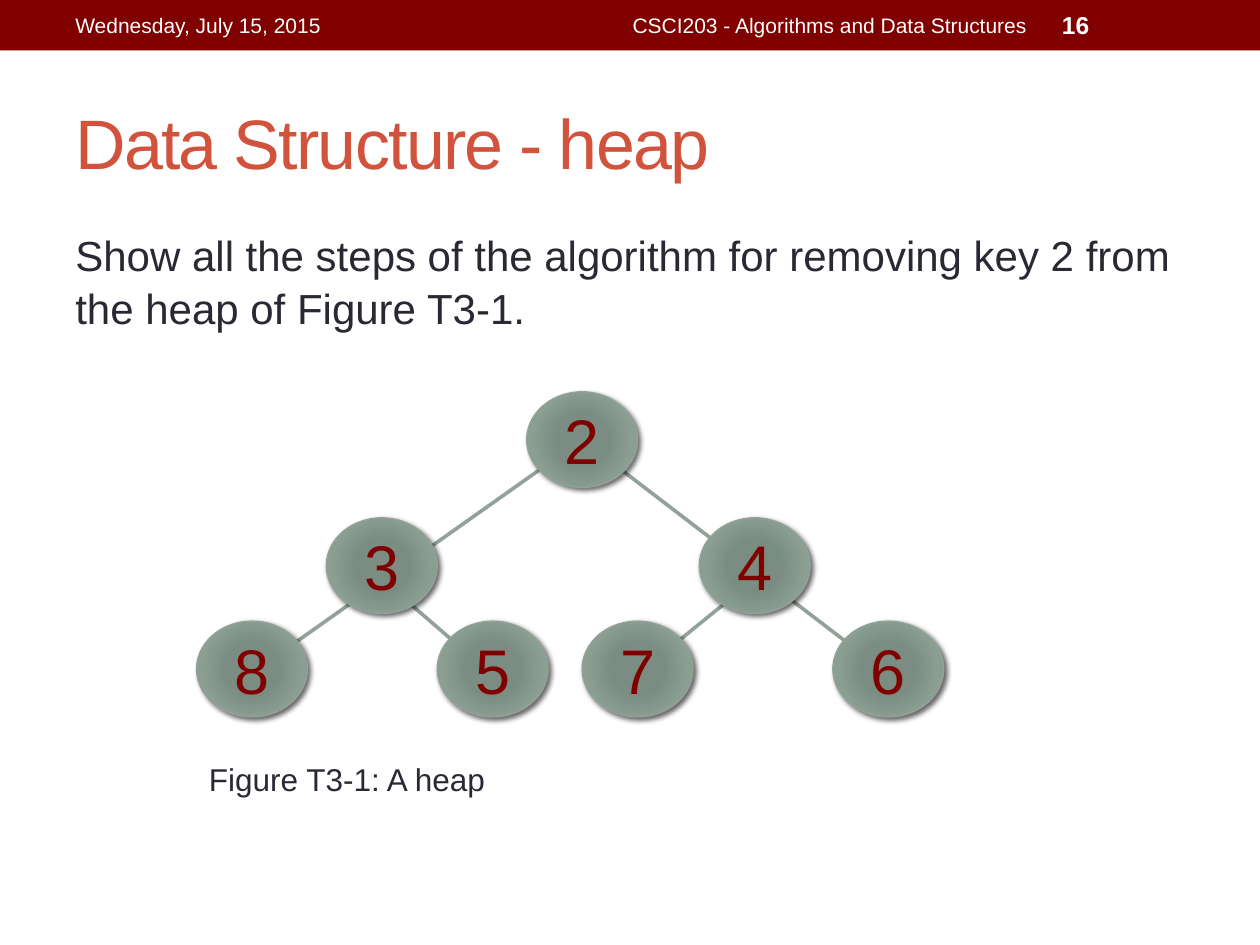
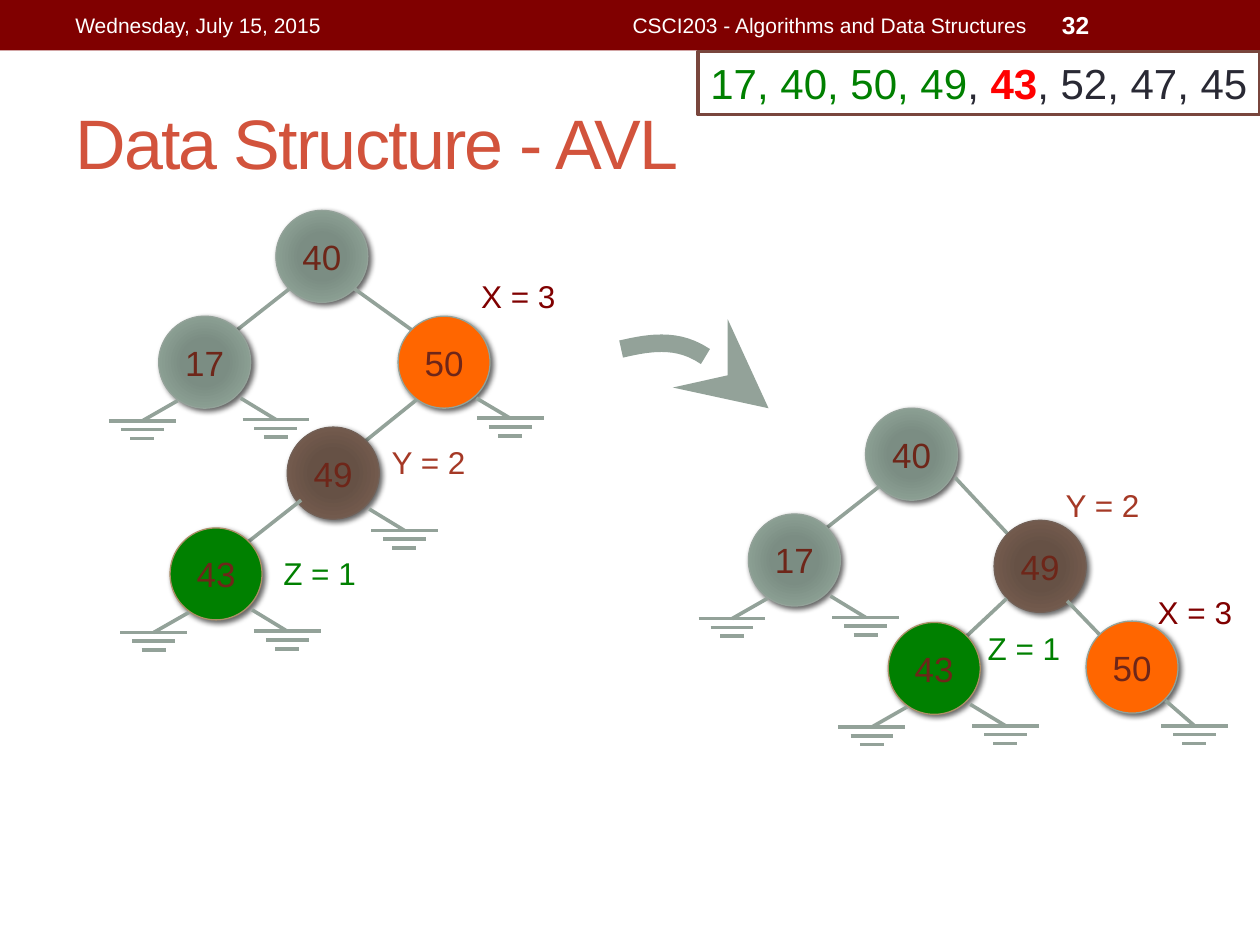
from dataclasses import dataclass

from lxml import etree
from pptx import Presentation
from pptx import util as u
from pptx.dml import color
from pptx.enum import shapes, text
from pptx.oxml import ns, parse_xml

COLUMNS, ROWS = 10, 7.5
CELL = u.Inches(1)
FONT = "Arial"
MAROON, WHITE, INK, SAGE = "800000", "FFFFFF", "292934", "93A299"
TITLE, RUST, GREEN, ORANGE, BROWN = "D2533C", "6E2619", "008000", "FF6600", "726056"
BRICK, RED, SAND, FRAME = "A53926", "FF0000", "AD8F67", "79463D"
SAGE_STOPS = ((0, "7B8E82"), (34, "7B8D83"), (70, "8A9E92"), (100, SAGE))
BROWN_STOPS = ((0, "685044"), (34, "665145"), (70, "725A4D"), (100, BROWN))
KEY_STYLES = {
    "40": (SAGE_STOPS, SAGE),
    "17": (SAGE_STOPS, SAGE),
    "50": (ORANGE, SAGE),
    "49": (BROWN_STOPS, BROWN),
    "43": (GREEN, SAND),
}
LABELS = {"50": ("X = 3", MAROON), "49": ("Y = 2", BRICK), "43": ("Z = 1", GREEN)}
NODE_SIZE = 0.73
CHILD_JOINTS = {"left": (0.62, 0.11), "right": (0.11, 0.11)}
GROUNDS = {
    "left": ((0.15, 0.67), (-0.13, 0.83)),
    "right": ((0.65, 0.65), (0.93, 0.82)),
    "near": ((0.62, 0.65), (0.89, 0.81)),
    "steep": ((0.63, 0.63), (0.86, 0.83)),
}
GROUND_BARS = (0.53, 0.34, 0.19)
BAR_GAP = 0.07


@dataclass
class TreeNode:
    key: str
    offset: tuple
    parent: str = ""
    side: str = "left"
    joint: tuple = (0.11, 0.62)
    grounds: tuple = ()
    label_offset: tuple = ()


ROOT = TreeNode("40", (0, 0))
LEAF_17 = TreeNode("17", (-0.93, 0.84), "40", grounds=("right", "left"))
BEFORE = (
    ROOT,
    LEAF_17,
    TreeNode("50", (0.97, 0.84), "40", "right", (0.62, 0.62), ("near",), (0.56, -0.36)),
    TreeNode("49", (0.09, 1.72), "50", "left", (0.15, 0.66), ("right",), (0.73, 0.08)),
    TreeNode("43", (-0.84, 2.52), "49", "left", (0.11, 0.58), ("right", "left"), (0.8, 0.16)),
)
AFTER = (
    ROOT,
    LEAF_17,
    TreeNode("49", (1.02, 0.89), "40", "right", (0.71, 0.55), (), (0.47, -0.32)),
    TreeNode("43", (0.18, 1.7), "49", "left", (0.1, 0.62), ("right", "left"), (0.69, 0)),
    TreeNode("50", (1.75, 1.69), "49", "right", (0.58, 0.64), ("steep",), (0.47, -0.27)),
)


def rgb(value):
    return color.RGBColor.from_string(value)


def grid(*lengths):
    return [round(length * CELL) for length in lengths]


def shift(origin, offset):
    return origin[0] + offset[0], origin[1] + offset[1]


def style_font(font, size, ink, bold=False):
    font.name, font.size, font.bold = FONT, u.Pt(size), bold
    font.color.rgb = rgb(ink)


def write(shape, words, size, ink, bold=False, align=text.PP_ALIGN.LEFT,
          anchor=text.MSO_ANCHOR.TOP, wrap=True):
    frame = shape.text_frame
    frame.text = words
    frame.word_wrap = wrap
    frame.vertical_anchor = anchor
    para = frame.paragraphs[0]
    para.alignment = align
    style_font(para.runs[0].font, size, ink, bold)
    return para


def add_text(page, box, words, size, ink, **options):
    return write(page.shapes.add_textbox(*grid(*box)), words, size, ink, **options)


def add_shape(page, kind, box, fill, line="", width=0.75):
    shape = page.shapes.add_shape(kind, *grid(*box))
    shape.shadow.inherit = False
    shape.fill.solid()
    shape.fill.fore_color.rgb = rgb(fill)
    if line:
        shape.line.color.rgb = rgb(line)
        shape.line.width = u.Pt(width)
    else:
        shape.line.fill.background()
    return shape


def add_line(page, start, end):
    line = page.shapes.add_connector(shapes.MSO_CONNECTOR.STRAIGHT, *grid(*start, *end))
    line.line.color.rgb = rgb(SAGE)
    line.line.width = u.Pt(2.08)
    etree.SubElement(line._element.spPr, ns.qn("a:effectLst"))


def set_radial_fill(shape, stops):
    marks = "".join(
        f'<a:gs pos="{share * 1000}"><a:srgbClr val="{shade}"/></a:gs>' for share, shade in stops)
    properties = shape._element.spPr
    properties.replace(properties.find(ns.qn("a:solidFill")), parse_xml(
        f'<a:gradFill {ns.nsdecls("a")} rotWithShape="1"><a:gsLst>{marks}</a:gsLst>'
        '<a:path path="circle"><a:fillToRect l="100000" t="100000" r="100000" b="100000"/>'
        '</a:path></a:gradFill>'))


def add_shadow(shape):
    effects = shape._element.spPr.find(ns.qn("a:effectLst"))
    effects.append(parse_xml(
        f'<a:outerShdw {ns.nsdecls("a")} blurRad="{u.Pt(3)}" dist="{u.Pt(2)}" dir="2700000" '
        'rotWithShape="0"><a:srgbClr val="000000"><a:alpha val="60000"/></a:srgbClr></a:outerShdw>'))


def add_node(page, box, key, fill, line, size, ink):
    solid = fill if isinstance(fill, str) else line
    node = add_shape(page, shapes.MSO_SHAPE.OVAL, box, solid, line)
    if solid != fill:
        set_radial_fill(node, fill)
    add_shadow(node)
    write(node, key, size, ink, align=text.PP_ALIGN.CENTER,
          anchor=text.MSO_ANCHOR.MIDDLE, wrap=False)


def add_frame(deck, title, number):
    page = deck.slides.add_slide(deck.slide_layouts[6])
    middle = text.MSO_ANCHOR.MIDDLE
    add_shape(page, shapes.MSO_SHAPE.RECTANGLE, (0, 0, COLUMNS, 0.4), MAROON)
    heading = add_text(page, (0.5, 0.58, 9, 1.08), title, 40, TITLE, anchor=middle)
    heading.runs[0].font._element.set("spc", "-100")
    add_text(page, (0.5, 0.02, 3.17, 0.36), "Wednesday, July 15, 2015", 12, WHITE, anchor=middle)
    add_text(page, (3.75, 0.02, 4.5, 0.36), "CSCI203 - Algorithms and Data Structures",
             12, WHITE, align=text.PP_ALIGN.RIGHT, anchor=middle)
    add_text(page, (8.33, 0.02, 1.17, 0.36), number, 14, WHITE, bold=True, anchor=middle)
    return page


def add_heap(page, box):
    origin = box[:2]
    width, height = 0.88, 0.76
    top, middle, bottom = 0, 1, 1.82
    branches = (
        ((0.43, 2.24), (3.06, 0.38)),
        ((3.06, 0.38), (5.49, 2.24)),
        ((3.5, 2.24), (4.45, 1.47)),
        ((2.34, 2.24), (1.45, 1.47)),
    )
    keys = (
        ("2", 2.62, top), ("4", 3.99, middle), ("6", 5.05, bottom), ("7", 3.06, bottom),
        ("5", 1.91, bottom), ("8", 0, bottom), ("3", 1.03, middle),
    )
    for start, end in branches:
        add_line(page, shift(origin, start), shift(origin, end))
    for key, left, row in keys:
        add_node(page, (*shift(origin, (left, row)), width, height),
                 key, SAGE_STOPS, SAGE, 36, MAROON)
    add_text(page, (*shift(origin, (0, 2.87)), 4.91, 0.4), "Figure T3-1: A heap", 18, INK)


def add_ground(page, corner, side):
    start, tip = (shift(corner, point) for point in GROUNDS[side])
    add_line(page, start, tip)
    for row, width in enumerate(GROUND_BARS):
        left = shift(tip, (-width / 2, row * BAR_GAP))
        add_line(page, left, shift(left, (width, 0)))


def add_tree(page, origin, nodes):
    corners = {node.key: shift(origin, node.offset) for node in nodes}
    for node in nodes:
        corner = corners[node.key]
        if node.parent:
            add_line(page, shift(corners[node.parent], node.joint),
                     shift(corner, CHILD_JOINTS[node.side]))
        add_node(page, (*corner, NODE_SIZE, NODE_SIZE), node.key, *KEY_STYLES[node.key], 20, RUST)
        for side in node.grounds:
            add_ground(page, corner, side)
    for node in nodes:
        if node.label_offset:
            add_text(page, (*shift(corners[node.key], node.label_offset), 0.86, 0.4),
                     *LABELS[node.key][:1], 18, LABELS[node.key][1], wrap=False)


def curve_points(start, first, second, end, steps=12):
    for step in range(1, steps + 1):
        t = step / steps
        weights = ((1 - t) ** 3, 3 * t * (1 - t) ** 2, 3 * t * t * (1 - t), t ** 3)
        yield tuple(sum(weight * point[axis] for weight, point
                        in zip(weights, (start, first, second, end))) for axis in (0, 1))


def add_swoop(page, box):
    origin = box[:2]
    start, bend, end = (shift(origin, point) for point in ((0, 0.04), (0.56, 0.04), (1.17, 0.51)))
    rise = [shift(origin, point) for point in ((0.18, 0), (0.37, -0.04))]
    fall = [shift(origin, point) for point in ((0.76, 0.12), (1.17, 0.51))]
    points = [*curve_points(start, *rise, bend), *curve_points(bend, *fall, end)]
    builder = page.shapes.build_freeform(*grid(*start))
    builder.add_line_segments([grid(*point) for point in points], close=False)
    arrow = builder.convert_to_shape()
    arrow.shadow.inherit = False
    arrow.fill.background()
    arrow.line.color.rgb = rgb(SAGE)
    arrow.line.width = u.Pt(10)
    outline = arrow._element.spPr.find(ns.qn("a:ln"))
    etree.SubElement(outline, ns.qn("a:tailEnd"), type="stealth", w="lg", len="lg")


def add_sequence(page, box):
    panel = add_shape(page, shapes.MSO_SHAPE.RECTANGLE, box, WHITE, FRAME, 2.08)
    para = write(panel, "17, 40, 50, 49", 24, GREEN, wrap=False)
    for words, ink, bold in ((",", INK, False), (" 43", RED, True), (", 52, 47, 45", INK, False)):
        span = para.add_run()
        span.text = words
        style_font(span.font, 24, ink, bold)


def build_heap_slide(deck):
    page = add_frame(deck, "Data Structure - heap", "16")
    task = add_text(page, (0.5, 1.75, 9, 5.33), "Show all the steps of the algorithm for "
                    "removing key 2 from the heap of Figure T3-1.", 24, INK)
    task.line_spacing = 1.05
    add_heap(page, (1.56, 3.11, 5.93, 3.27))


def build_avl_slide(deck):
    page = add_frame(deck, "Data Structure - AVL", "32")
    add_tree(page, (2.19, 1.67), BEFORE)
    add_tree(page, (6.87, 3.24), AFTER)
    add_swoop(page, (4.93, 2.73, 1.17, 0.51))
    add_sequence(page, (5.54, 0.41, 4.46, 0.5))


def main():
    deck = Presentation()
    deck.slide_width, deck.slide_height = grid(COLUMNS, ROWS)
    build_heap_slide(deck)
    build_avl_slide(deck)
    deck.save("out.pptx")


if __name__ == "__main__":
    main()
